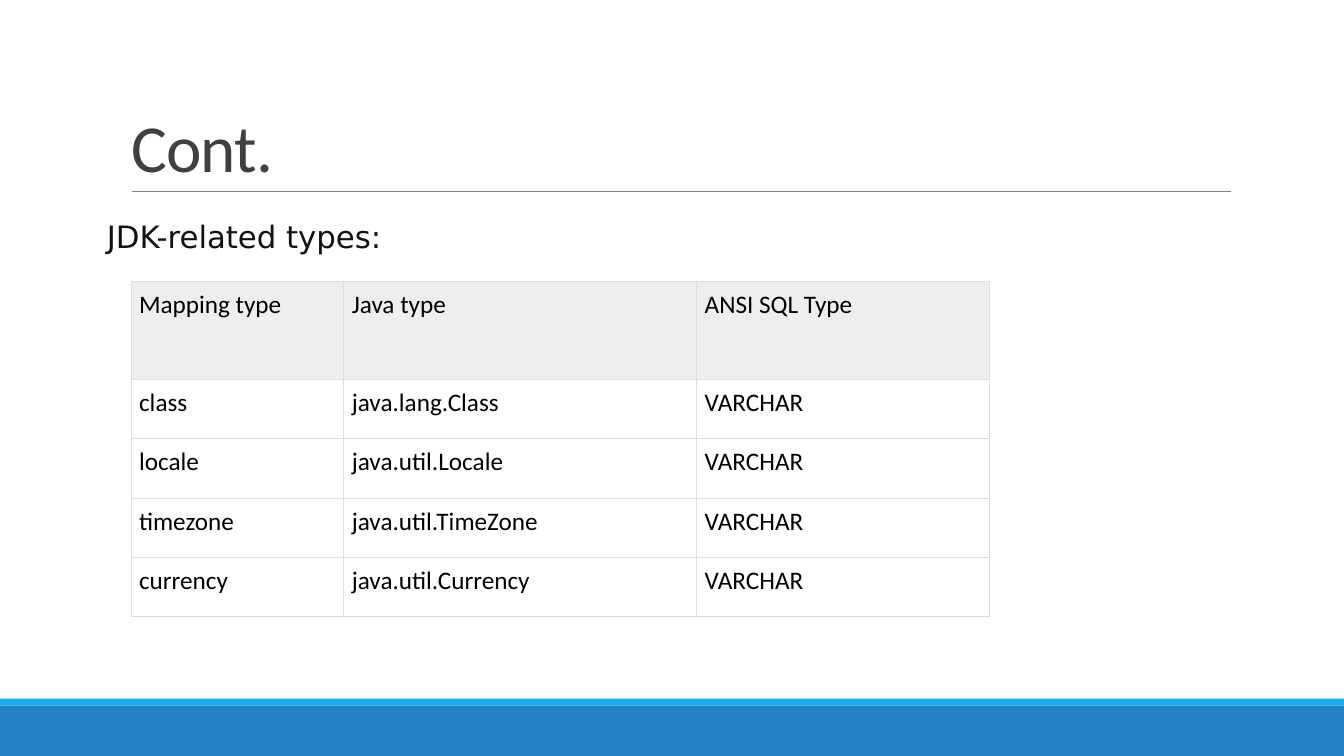
from dataclasses import dataclass

from lxml.etree import SubElement
from pptx import Presentation
from pptx.dml.color import RGBColor
from pptx.enum.shapes import MSO_CONNECTOR, MSO_SHAPE
from pptx.enum.text import MSO_ANCHOR, PP_ALIGN
from pptx.oxml.ns import qn
from pptx.slide import Slide
from pptx.table import _Cell
from pptx.text.text import TextFrame
from pptx.util import Inches, Pt


@dataclass(frozen=True)
class TextStyle:
    font: str
    size: int
    color: str


@dataclass(frozen=True)
class Theme:
    title: TextStyle = TextStyle("Calibri", 48, "404040")
    label: TextStyle = TextStyle("DejaVu Sans", 22, "121214")
    cell: TextStyle = TextStyle("Calibri", 18, "000000")
    rule: str = "808080"
    border: str = "DDDDDD"
    header: str = "EEEEEE"
    band: str = "2683C6"
    accent: str = "1CADE4"


@dataclass(frozen=True)
class Box:
    x: float
    y: float
    w: float
    h: float

    def emu(self) -> tuple[int, int, int, int]:
        return across(self.x), down(self.y), across(self.w), down(self.h)


@dataclass(frozen=True)
class Bar:
    box: Box
    color: str


WIDTH, HEIGHT = Inches(13.33), Inches(7.5)
THEME = Theme()
BARS = (
    Bar(Box(0, 93.33, 100, 6.67), THEME.band),
    Bar(Box(0, 92.4, 100, 0.93), THEME.accent),
)
TITLE = Box(9, 4.13, 82.5, 21.2)
LABEL = Box(7.95, 28.13, 21.9, 6)
COLUMNS = (15.83, 26.26, 21.75)
HEADER_ROW, BODY_ROW = 12.93, 7.87
TYPES = (
    ("Mapping type", "Java type", "ANSI SQL Type"),
    ("class", "java.lang.Class", "VARCHAR"),
    ("locale", "java.util.Locale", "VARCHAR"),
    ("timezone", "java.util.TimeZone", "VARCHAR"),
    ("currency", "java.util.Currency", "VARCHAR"),
)
ROWS = (HEADER_ROW,) + (BODY_ROW,) * (len(TYPES) - 1)


def across(percent: float) -> int:
    return round(WIDTH * percent / 100)


def down(percent: float) -> int:
    return round(HEIGHT * percent / 100)


def write(tf: TextFrame, text: str, style: TextStyle):
    p = tf.paragraphs[0]
    p.alignment = PP_ALIGN.LEFT
    r = p.add_run()
    r.text = text
    r.font.name = style.font
    r.font.size = Pt(style.size)
    r.font.color.rgb = RGBColor.from_string(style.color)
    return p, r


def add_bar(s: Slide, bar: Bar) -> None:
    sp = s.shapes.add_shape(MSO_SHAPE.RECTANGLE, *bar.box.emu())
    sp.shadow.inherit = False
    sp.fill.solid()
    sp.fill.fore_color.rgb = RGBColor.from_string(bar.color)
    sp.line.fill.background()


def add_rule(s: Slide, left: float, right: float, y: float) -> None:
    line = s.shapes.add_connector(
        MSO_CONNECTOR.STRAIGHT, across(left), down(y), across(right), down(y))
    line.line.color.rgb = RGBColor.from_string(THEME.rule)
    line.line.width = Pt(0.5)
    SubElement(line._element.spPr, qn("a:effectLst"))


def set_title(s: Slide, text: str) -> None:
    sp = s.shapes.title
    sp.left, sp.top, sp.width, sp.height = TITLE.emu()
    tf = sp.text_frame
    tf.vertical_anchor = MSO_ANCHOR.BOTTOM
    p, r = write(tf, text, THEME.title)
    p.line_spacing = 0.85
    r.font._element.set("spc", "-50")


def add_label(s: Slide, text: str) -> None:
    tf = s.shapes.add_textbox(*LABEL.emu()).text_frame
    tf.word_wrap = False
    tf.vertical_anchor = MSO_ANCHOR.TOP
    tf.margin_left = 0
    tf.margin_top = Inches(0.05)
    tf.margin_right = tf.margin_bottom = Inches(0.03)
    write(tf, text, THEME.label)


def set_borders(cell: _Cell) -> None:
    tcPr = cell._tc.get_or_add_tcPr()
    for side in ("a:lnL", "a:lnR", "a:lnT", "a:lnB"):
        ln = SubElement(tcPr, qn(side), w=str(Pt(0.75)))
        fill = SubElement(ln, qn("a:solidFill"))
        SubElement(fill, qn("a:srgbClr"), val=THEME.border)


def add_types_table(s: Slide) -> None:
    box = Box(9.75, 37.2, sum(COLUMNS), sum(ROWS))
    table = s.shapes.add_table(len(ROWS), len(COLUMNS), *box.emu()).table
    table.first_row = table.horz_banding = False
    for column, width in zip(table.columns, COLUMNS):
        column.width = across(width)
    for i, (row, height) in enumerate(zip(table.rows, ROWS)):
        row.height = down(height)
        for cell, text in zip(row.cells, TYPES[i]):
            cell.margin_left = cell.margin_right = Inches(0.08)
            cell.margin_top = cell.margin_bottom = Inches(0.08)
            set_borders(cell)
            if i == 0:
                cell.fill.solid()
                cell.fill.fore_color.rgb = RGBColor.from_string(THEME.header)
            else:
                cell.fill.background()
            write(cell.text_frame, text, THEME.cell)


def main() -> None:
    prs = Presentation()
    prs.slide_width, prs.slide_height = WIDTH, HEIGHT
    s = prs.slides.add_slide(prs.slide_layouts.get_by_name("Title Only"))
    for bar in BARS:
        add_bar(s, bar)
    add_rule(s, 9.83, 91.6, 25.33)
    set_title(s, "Cont.")
    add_types_table(s)
    add_label(s, "JDK-related types:")
    prs.save("out.pptx")


main()
